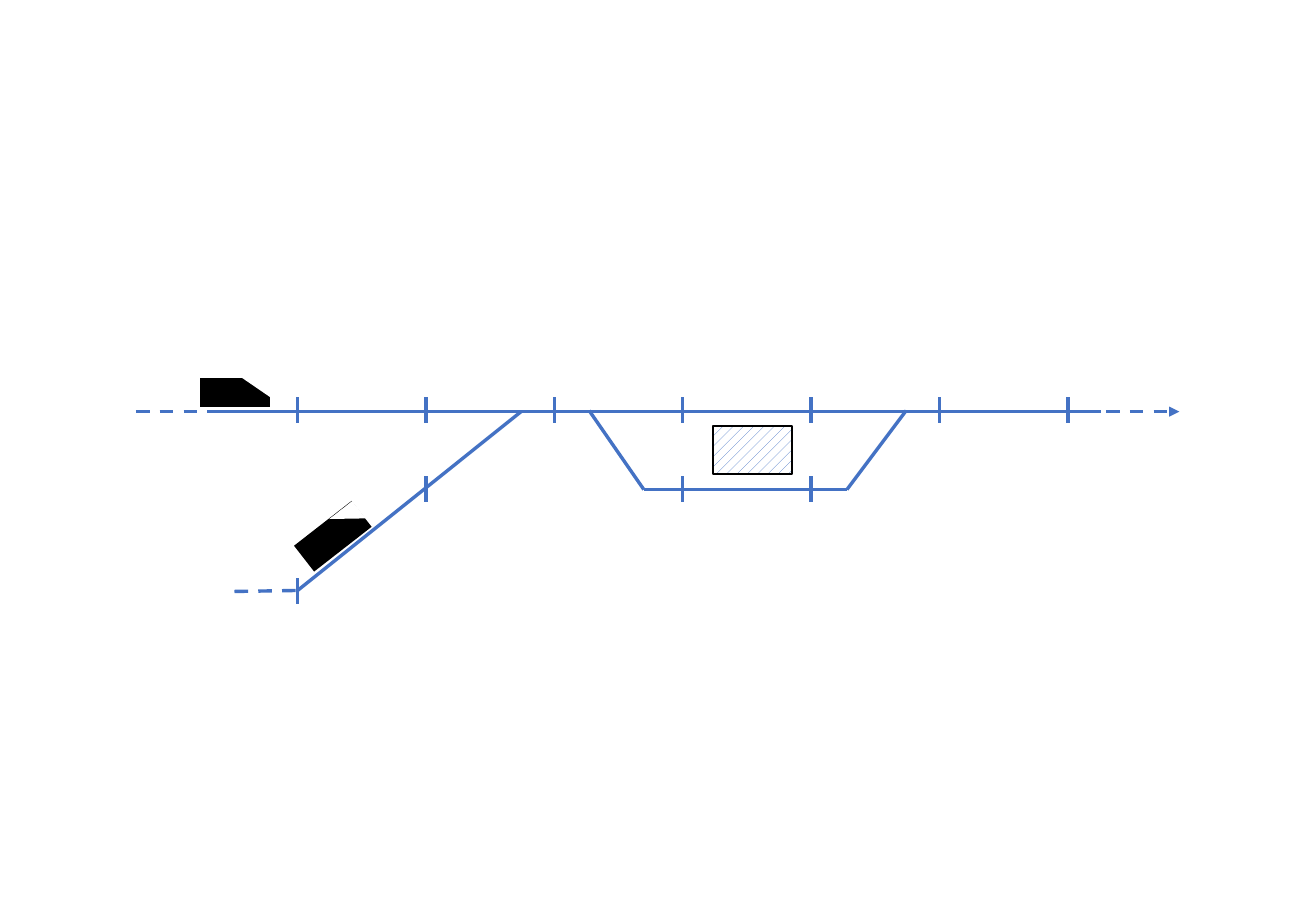
from lxml import etree
from pptx import Presentation
from pptx.dml.color import RGBColor
from pptx.enum.dml import MSO_LINE, MSO_PATTERN
from pptx.enum.shapes import MSO_CONNECTOR, MSO_SHAPE
from pptx.oxml.ns import qn
from pptx.util import Pt

COLORS = {"track": "4472C4", "train": "000000", "paper": "FFFFFF"}

presentation = Presentation()
presentation.slide_width, presentation.slide_height = Pt(780), Pt(540)
slide = presentation.slides.add_slide(presentation.slide_layouts[6])


def color(name):
    return RGBColor.from_string(COLORS[name])


def add_track(x1, y1, x2, y2, dashed=False):
    line = slide.shapes.add_connector(
        MSO_CONNECTOR.STRAIGHT, Pt(x1), Pt(y1), Pt(x2), Pt(y2))
    line.line.color.rgb = color("track")
    line.line.width = Pt(2)
    if dashed:
        line.line.dash_style = MSO_LINE.DASH
    etree.SubElement(line._element.spPr, qn("a:effectLst"))
    return line


# Main line, with dashed ends
MAIN_Y, BRANCH_Y, SIDING_Y = 244, 350, 290.2
add_track(127.5, MAIN_Y, 652.3, MAIN_Y)
exit_track = add_track(641.5, MAIN_Y, 699, MAIN_Y, dashed=True)
etree.SubElement(exit_track.line._get_or_add_ln(), qn("a:tailEnd"), type="triangle")
add_track(80.6, MAIN_Y, 132.5, MAIN_Y, dashed=True)

# Branch line
add_track(176.4, BRANCH_Y, 308.9, MAIN_Y)
add_track(139, 350.6, 177, BRANCH_Y, dashed=True)

# Siding
add_track(349.2, 243.4, 381.6, SIDING_Y)
add_track(381.6, SIDING_Y, 502.3, SIDING_Y)
add_track(537.1, 243.4, 502, SIDING_Y)

# Block marks: (top, columns)
FIRST_MARK, MARK_STEP, MARK_HEIGHT = 176.4, 76.1, 15.2
for top, columns in [(235.4, range(7)), (282.2, (1, 3, 4)), (342.7, (0,))]:
    for column in columns:
        x = FIRST_MARK + column * MARK_STEP
        add_track(x, top, x, top + MARK_HEIGHT)

# Platform
platform = slide.shapes.add_shape(
    MSO_SHAPE.RECTANGLE, Pt(422.6), Pt(252.7), Pt(46.8), Pt(28.1))
platform.shadow.inherit = False
platform.fill.patterned()
platform.fill.pattern = MSO_PATTERN.PERCENT_20
platform.fill.fore_color.rgb = color("track")
platform.fill.back_color.rgb = color("paper")
platform.line.color.rgb = color("train")
platform.line.width = Pt(1.25)

# Trains: a black body whose nose is cut by a white triangle
trains = [
    ((118.8, 223.9, 41.2, 17.3), (143.3, 223.9, 16.8, 11.5), 0),
    ((175.7, 308.2, 43.2, 19.4), (197.3, 301, 17.3, 13), 322.1),
]
for body, nose, angle in trains:
    train = slide.shapes.add_group_shape()
    for preset, box, rotation, fill in [
        (MSO_SHAPE.FLOWCHART_PROCESS, body, angle, "train"),
        (MSO_SHAPE.RIGHT_TRIANGLE, nose, (angle + 180) % 360, "paper"),
    ]:
        shape = train.shapes.add_shape(preset, *[Pt(value) for value in box])
        shape.rotation = rotation
        shape.shadow.inherit = False
        shape.fill.solid()
        shape.fill.fore_color.rgb = color(fill)
        shape.line.fill.background()

presentation.save("out.pptx")
